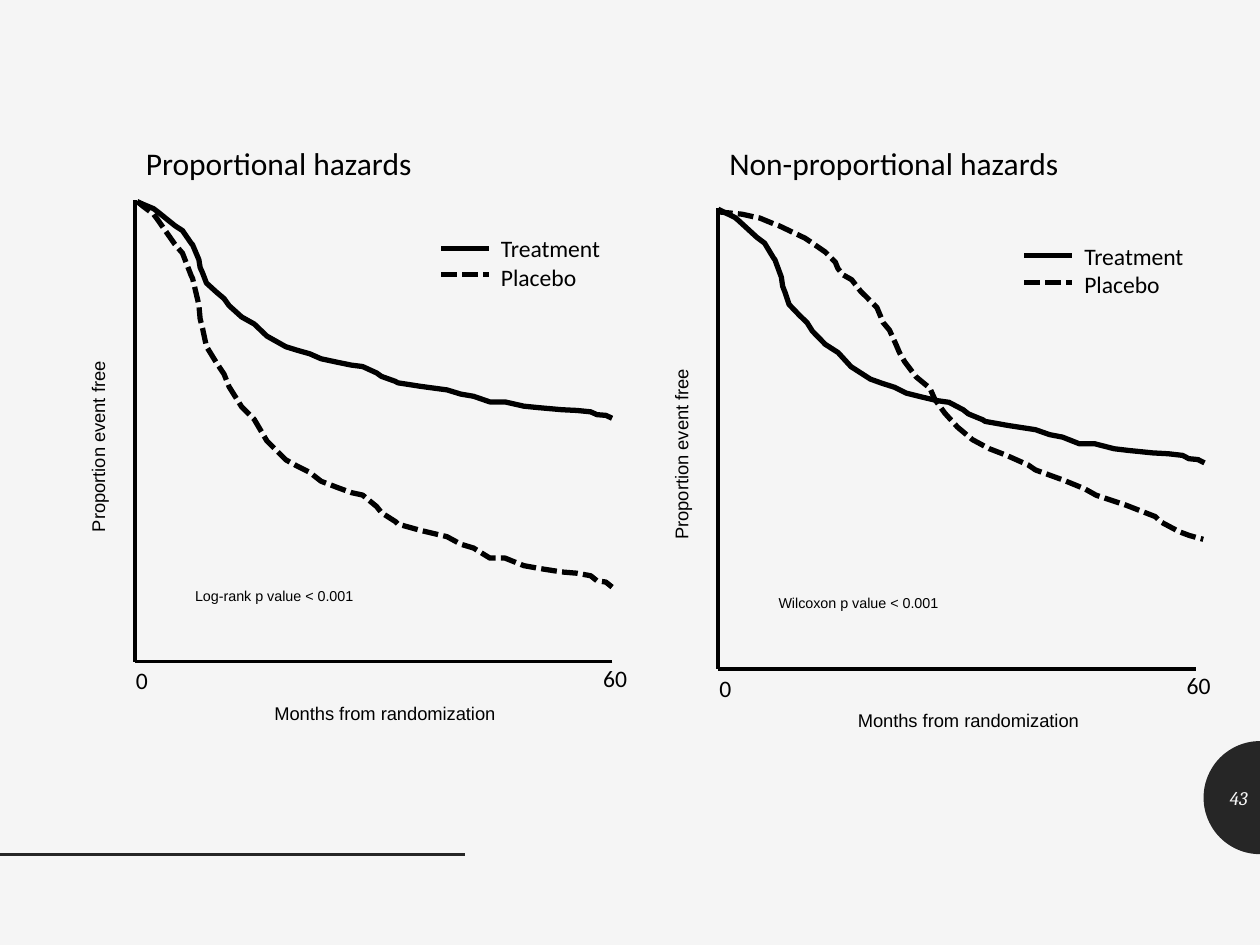
from math import cos, pi, sin

from lxml import etree
from pptx import Presentation
from pptx.dml.color import RGBColor
from pptx.enum.dml import MSO_LINE
from pptx.enum.shapes import MSO_CONNECTOR
from pptx.enum.text import MSO_ANCHOR, PP_ALIGN
from pptx.oxml.ns import qn
from pptx.util import Pt

STRAIGHT = MSO_CONNECTOR.STRAIGHT
SOLID, DASHED = MSO_LINE.SOLID, MSO_LINE.SQUARE_DOT
LEFT, RIGHT = PP_ALIGN.LEFT, PP_ALIGN.RIGHT
TOP, MIDDLE = MSO_ANCHOR.TOP, MSO_ANCHOR.MIDDLE

COLORS = {"paper": "F5F5F5", "ink": "000000", "accent": "262626"}
BLANK_LAYOUT = 6
PANEL_WIDTH, PANEL_HEIGHT = 272.9, 263.5
TITLE_TOP = 78.5
LEGEND = [("Treatment", SOLID), ("Placebo", DASHED)]

SURVIVAL = [
    (0, 0), (5, 4), (13, 10), (16, 14), (30, 34), (36, 41), (43, 59), (44, 61),
    (49, 82), (50, 93), (52, 101), (55, 115), (63, 128), (69, 137), (73, 147),
    (83, 163), (88, 168), (93, 173), (103, 190), (118, 205), (127, 210),
    (137, 215), (146, 222), (159, 227), (170, 231), (179, 233), (190, 242),
    (194, 247), (205, 254), (207, 256), (225, 261), (246, 266), (257, 272),
    (267, 275), (280, 283), (292, 283), (307, 289), (318, 291), (337, 294),
    (349, 295), (360, 297), (365, 301), (372, 302), (377, 306),
]
CROSSING = [
    (0, 0), (20, 2), (29, 4), (34, 5), (46, 10), (49, 11), (70, 21), (73, 23),
    (86, 32), (94, 40), (96, 45), (100, 50), (107, 54), (114, 63), (118, 67),
    (127, 76), (132, 88), (137, 94), (142, 105), (145, 112), (149, 119),
    (158, 131), (169, 140), (173, 149), (181, 160), (191, 171), (203, 181),
    (216, 188), (229, 193), (247, 201), (253, 205), (275, 213), (292, 220),
    (301, 225), (325, 233), (348, 242), (352, 246), (367, 254), (375, 257),
    (386, 260),
]

PANELS = [
    {
        "title": "Proportional hazards",
        "test": "Log-rank p value < 0.001",
        "left": 77, "top": 114.5,
        "curves": [
            (SURVIVAL, DASHED, (1.4, 0.7, 271.4, 220.3)),
            (SURVIVAL, SOLID, (1.4, 0.7, 271.4, 123.8)),
        ],
    },
    {
        "title": "Non-proportional hazards",
        "test": "Wilcoxon p value < 0.001",
        "left": 410.4, "top": 118.8,
        "curves": [
            (SURVIVAL, SOLID, (0, 0.7, 277.9, 145)),
            (CROSSING, DASHED, (-0.7, 2.2, 277.9, 187.2)),
        ],
    },
]


def color(name):
    return RGBColor.from_string(COLORS[name])


def style_line(line, name, width, dash=SOLID):
    line.color.rgb = color(name)
    line.width = Pt(width)
    line.dash_style = dash


def add_line(page, start, end, width, name="ink", dash=SOLID):
    line = page.shapes.add_connector(
        STRAIGHT, *(Pt(value) for value in (*start, *end)))
    style_line(line.line, name, width, dash)
    etree.SubElement(line._element.spPr, qn("a:effectLst"))


def add_text(page, box, lines, size, font="Arial", name="ink", align=LEFT,
             anchor=TOP, italic=False):
    label = page.shapes.add_textbox(*(Pt(value) for value in box))
    frame = label.text_frame
    frame.word_wrap = True
    frame.vertical_anchor = anchor
    frame.text = "\n".join(lines)
    for para in frame.paragraphs:
        para.alignment = align
        para.font.name = font
        para.font.size = Pt(size)
        para.font.italic = italic
        para.font.color.rgb = color(name)
    return label


def add_outline(page, points, close):
    places = [(Pt(x), Pt(y)) for x, y in points]
    builder = page.shapes.build_freeform(*places[0], scale=1.0)
    builder.add_line_segments(places[1:], close=close)
    outline = builder.convert_to_shape()
    outline.shadow.inherit = False
    return outline


def add_curve(page, points, dash, box):
    left, top, width, height = box
    last_x, last_y = points[-1]
    curve = add_outline(
        page,
        [(left + x / last_x * width, top + y / last_y * height) for x, y in points],
        close=False)
    curve.fill.background()
    style_line(curve.line, "ink", 3, dash)


def add_legend(page, left, top):
    for index, (_, dash) in enumerate(LEGEND):
        y = top + 11.5 + index * 15.1
        add_line(page, (left, y), (left + 27.2, y), 3, dash=dash)
    add_text(page, (left + 27.2, top, 103, 40.3),
             [entry for entry, _ in LEGEND], 13.5, "Calibri")


def add_panel(page, panel, box):
    left, top, width, height = box
    origin = (left, top + height)
    add_line(page, (left, top), origin, 2.25)
    add_line(page, (left + width, top + height), origin, 2.25)
    for points, dash, (x, y, curve_width, curve_height) in panel["curves"]:
        add_curve(page, points, dash,
                  (left + x, top + y, curve_width, curve_height))
    add_legend(page, left + 175, top + 15.9)

    add_text(page, (left - 0.7, TITLE_TOP, 211.7, 28.8),
             [panel["title"]], 18, "Calibri")
    add_text(page, (left + 27.4, top + 217.4, 115.2, 17.3), [panel["test"]], 8.2)
    add_text(page, (left + 72.7, top + 283, 144.7, 20.2),
             ["Months from randomization"], 10.5)
    vertical = add_text(page, (left - 85.7, top + 121.7, 129.6, 20.2),
                        ["Proportion event free"], 10.5)
    vertical.rotation = 270
    for tick, x, y in (("0", -6.4, 262.5), ("60", 260.6, 261.2)):
        add_text(page, (left + x, top + y, 29.5, 23.8), [tick], 13.5, "Calibri")


def add_page_number(page, box):
    left, top, width, height = box
    right, middle, steps = left + width, top + height / 2, 48
    angles = [pi / 2 + pi * step / steps for step in range(steps + 1)]
    badge = add_outline(
        page,
        [(right + width * cos(angle), middle + height / 2 * sin(angle))
         for angle in angles],
        close=True)
    badge.fill.solid()
    badge.fill.fore_color.rgb = color("accent")
    badge.line.fill.background()
    add_text(page, (left, middle - 14.4, width, 28.8), ["43"], 11, "Cambria",
             "paper", RIGHT, MIDDLE, italic=True)


def main():
    deck = Presentation()
    deck.slide_width, deck.slide_height = Pt(720), Pt(540)
    page = deck.slides.add_slide(deck.slide_layouts[BLANK_LAYOUT])
    page.background.fill.solid()
    page.background.fill.fore_color.rgb = color("paper")

    add_page_number(page, (687.8, 423.5, 32.2, 64.6))
    add_line(page, (0, 488.2), (265.7, 488.2), 2, "accent")
    for panel in PANELS:
        add_panel(page, panel,
                  (panel["left"], panel["top"], PANEL_WIDTH, PANEL_HEIGHT))
    deck.save("out.pptx")


if __name__ == "__main__":
    main()
